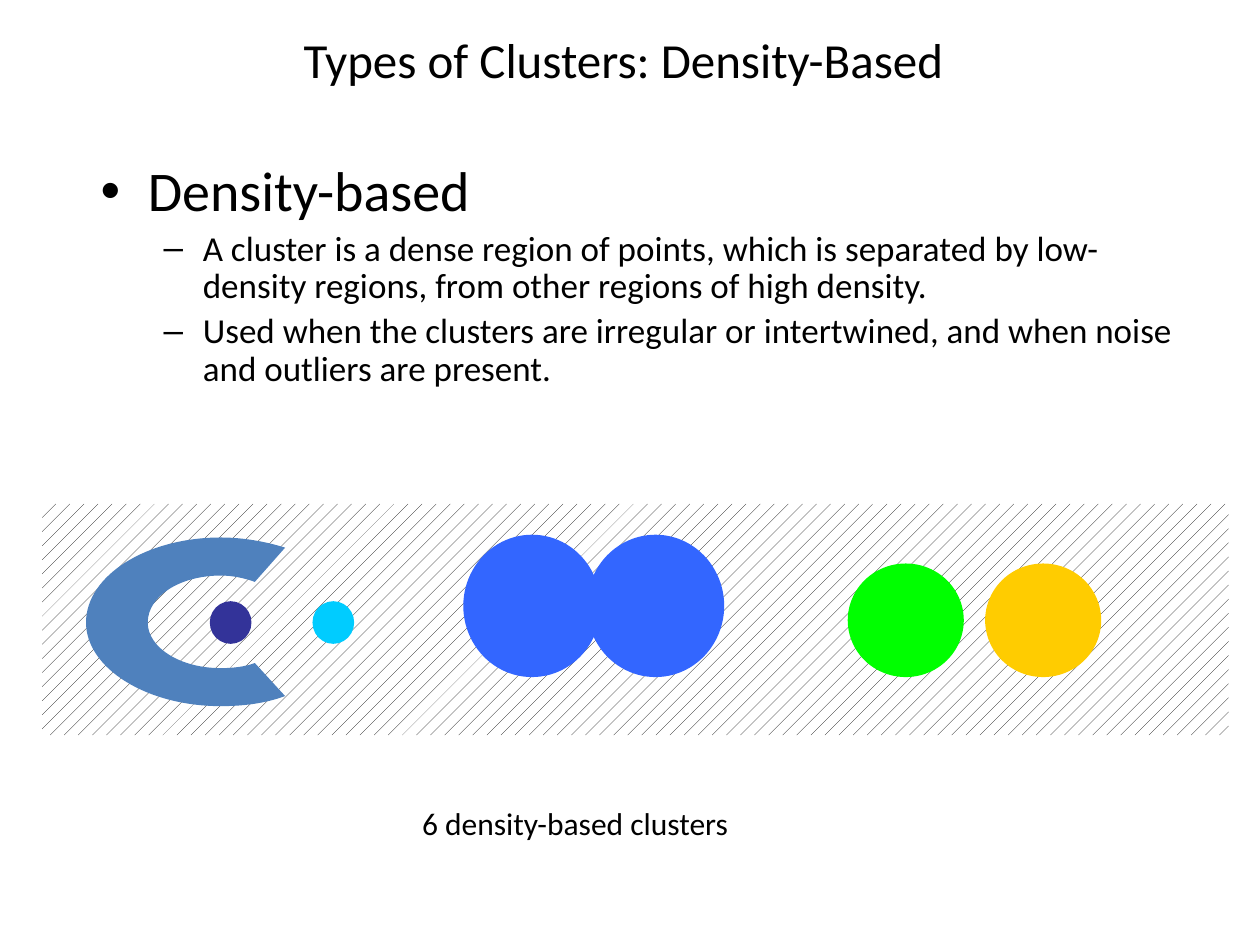
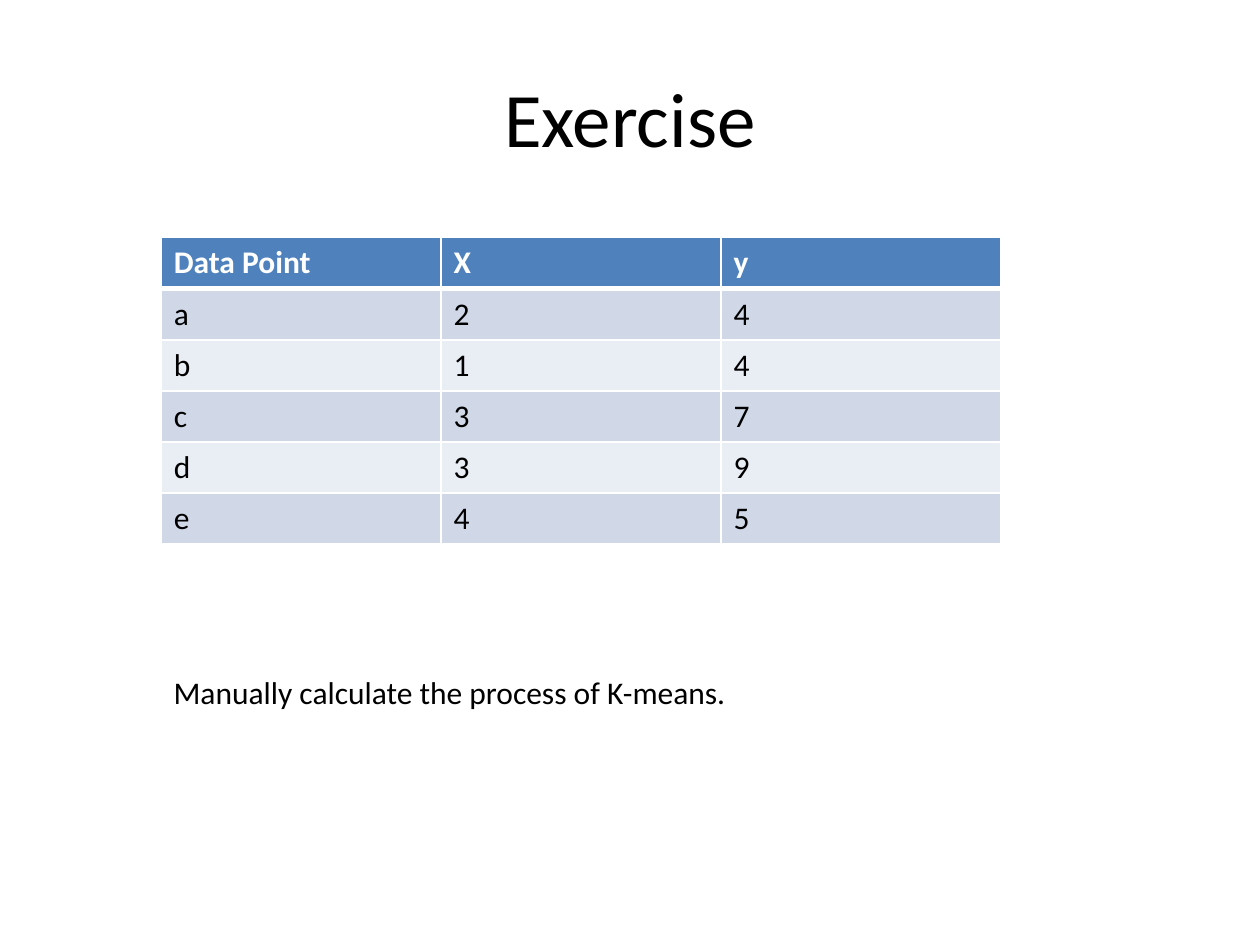
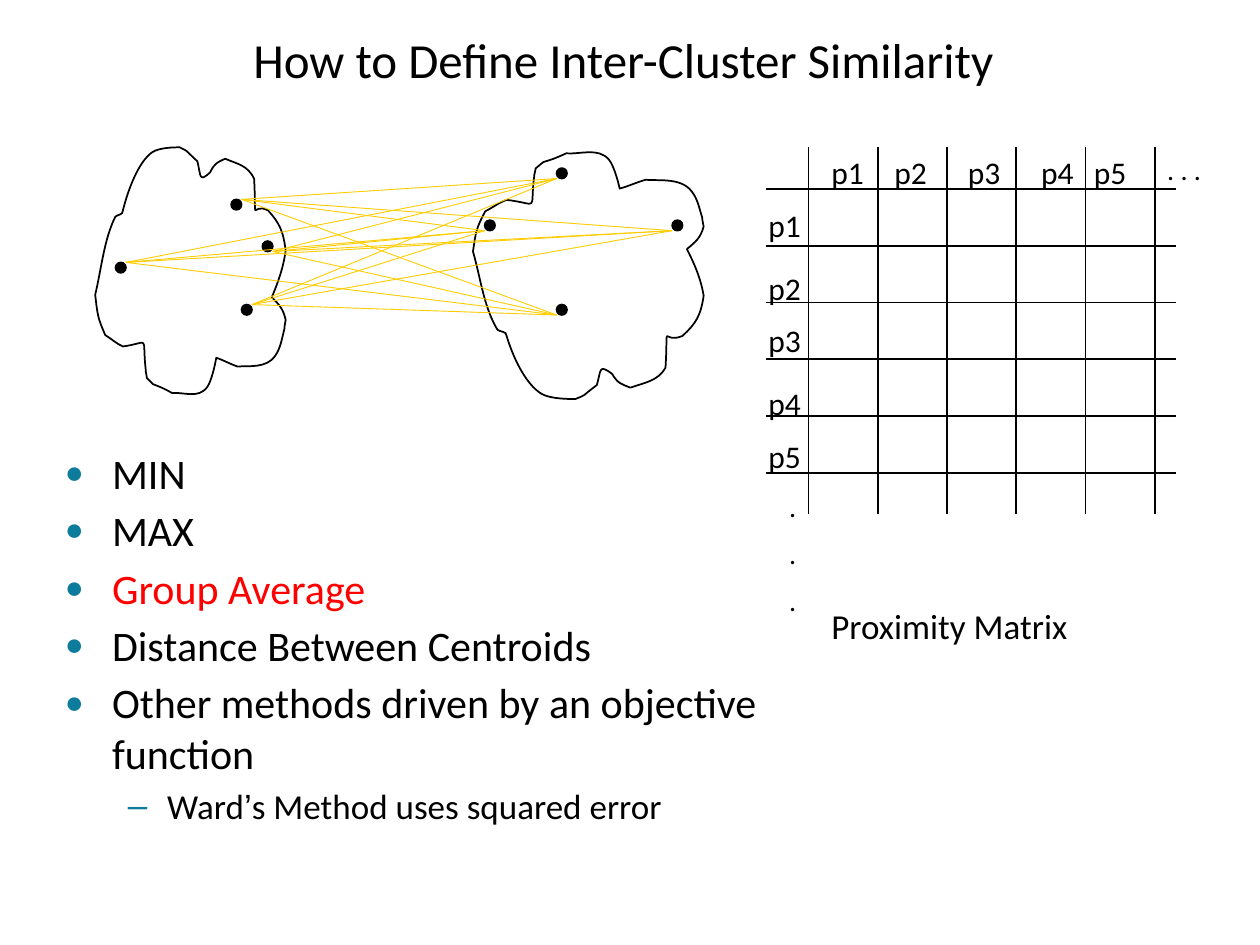
import dataclasses
import itertools
import typing

import lxml.etree
import pptx
import pptx.dml.color
import pptx.enum.dml
import pptx.enum.shapes
import pptx.enum.text
import pptx.oxml.ns
import pptx.presentation
import pptx.shapes.base
import pptx.slide
import pptx.util

Cm = pptx.util.Cm
Pt = pptx.util.Pt
qn = pptx.oxml.ns.qn
Point = tuple[float, float]


@dataclasses.dataclass(frozen=True)
class Theme:
    font: str = "Calibri"
    symbol_font: str = "Arial"
    ink: str = "000000"
    paper: str = "FFFFFF"
    steel: str = "4F81BD"
    band_dark: str = "D0D8E8"
    band_light: str = "E9EDF4"
    indigo: str = "333399"
    cyan: str = "00CCFF"
    blue: str = "3366FF"
    green: str = "00FF00"
    amber: str = "FFCC00"
    red: str = "FF0000"
    teal: str = "0C7B9C"
    big_title: int = 44
    title: int = 28
    lead: int = 32
    item: int = 24
    detail: int = 20
    body: int = 18
    dots: int = 16


THEME = Theme()


class Box(typing.NamedTuple):
    left: float
    top: float
    width: float
    height: float

    def lengths(self) -> list[pptx.util.Length]:
        return [Cm(value) for value in self]


@dataclasses.dataclass(frozen=True)
class Bullet:
    char: str
    margin: float
    hang: float
    color: str = ""
    percent: int = 0


@dataclasses.dataclass(frozen=True)
class Line:
    text: str
    size: int = THEME.body
    color: str = THEME.ink
    bullet: Bullet | None = None
    level: int = 0
    before: float = 0
    after: float = 0
    spacing: float = 1.0
    bold: bool = False


@dataclasses.dataclass(frozen=True)
class Outline:
    """Segments on an upright grid: one point is a line, three are a Bézier curve."""
    width: int
    height: int
    start: Point
    segments: list[tuple[Point, ...]]


class Disc(typing.NamedTuple):
    box: Box
    color: str


class Dot(typing.NamedTuple):
    """A data point; links leave from the corner given in fractions of its side."""
    left: float
    top: float
    corner_x: int
    corner_y: int

    def link(self) -> Point:
        return self.left + self.corner_x * DOT_SIDE, self.top + self.corner_y * DOT_SIDE


TITLE_BOX = Box(1.06, 0.43, 23.01, 1.52)
DOT_SIDE = 0.21


# Shared drawing functions

def rgb(color: str) -> pptx.dml.color.RGBColor:
    return pptx.dml.color.RGBColor.from_string(color)


def new_page(deck: pptx.presentation.Presentation) -> pptx.slide.Slide:
    return deck.slides.add_slide(deck.slide_layouts[6])


def add_bullet(para, bullet: Bullet) -> None:
    props = para._p.get_or_add_pPr()
    props.set("marL", str(Cm(bullet.margin)))
    props.set("indent", str(-Cm(bullet.hang)))
    if bullet.color:
        color = lxml.etree.SubElement(props, qn("a:buClr"))
        lxml.etree.SubElement(color, qn("a:srgbClr"), val=bullet.color)
    if bullet.percent:
        lxml.etree.SubElement(props, qn("a:buSzPct"), val=str(bullet.percent * 1000))
    lxml.etree.SubElement(props, qn("a:buFont"), typeface=THEME.symbol_font)
    lxml.etree.SubElement(props, qn("a:buChar"), char=bullet.char)


def write_line(para, line: Line) -> None:
    para.level = line.level
    para.line_spacing = line.spacing
    para.space_before = Pt(line.before)
    para.space_after = Pt(line.after)
    if line.bullet:
        add_bullet(para, line.bullet)
    for piece in filter(None, line.text.partition("’")):
        span = para.add_run()
        span.text = piece
        span.font.name = THEME.symbol_font if piece == "’" else THEME.font
        span.font.size = Pt(line.size)
        span.font.bold = line.bold
        span.font.color.rgb = rgb(line.color)


def add_text(page: pptx.slide.Slide, box: Box, *lines: Line):
    frame = page.shapes.add_textbox(*box.lengths()).text_frame
    frame.word_wrap = True
    for index, line in enumerate(lines):
        write_line(frame.add_paragraph() if index else frame.paragraphs[0], line)
    return frame


def add_title(page: pptx.slide.Slide, text: str, box: Box = TITLE_BOX,
              size: int = THEME.title) -> None:
    frame = add_text(page, box, Line(text, size))
    frame.vertical_anchor = pptx.enum.text.MSO_ANCHOR.MIDDLE
    frame.paragraphs[0].alignment = pptx.enum.text.PP_ALIGN.CENTER


def paint(shape: pptx.shapes.base.BaseShape, fill: str = "", outline: str = "") -> None:
    shape.shadow.inherit = False
    if fill:
        shape.fill.solid()
        shape.fill.fore_color.rgb = rgb(fill)
    else:
        shape.fill.background()
    if outline:
        shape.line.color.rgb = rgb(outline)
        shape.line.width = Pt(1)
    else:
        shape.line.fill.background()


def add_ellipse(page: pptx.slide.Slide, box: Box, fill: str, outline: str = "",
                rotation: int = 0) -> None:
    kind = pptx.enum.shapes.MSO_SHAPE.OVAL
    shape = page.shapes.add_shape(kind, *box.lengths())
    shape.rotation = rotation
    paint(shape, fill, outline)


def add_outline(page: pptx.slide.Slide, outline: Outline, box: Box, rotation: int,
                fill: str = "", line: str = "") -> None:
    """Lay the grid on its side in the box; a turn by 270 stands it up, by 90 mirrors it."""
    def place(point: Point) -> tuple[int, int]:
        along = 1 - point[1] / outline.height
        across = point[0] / outline.width
        if rotation == 90:
            across = 1 - across
        return Cm(box.left + box.width * along), Cm(box.top + box.height * across)

    builder = page.shapes.build_freeform(*place(outline.start))
    points = itertools.chain.from_iterable(outline.segments)
    builder.add_line_segments([place(point) for point in points], close=True)
    shape = builder.convert_to_shape()
    shape.width, shape.height = Cm(box.width), Cm(box.height)
    shape.rotation = rotation
    paint(shape, fill, line)

    # Keep the full frame and turn each group of three points into a curve
    contour = next(shape.element.iter(qn("a:path")))
    contour.set("w", str(shape.width))
    contour.set("h", str(shape.height))
    steps = iter(contour.findall(qn("a:lnTo")))
    for segment in outline.segments:
        group = list(itertools.islice(steps, len(segment)))
        if len(group) == 3:
            curve = lxml.etree.Element(qn("a:cubicBezTo"))
            group[0].addprevious(curve)
            for step in group:
                curve.append(step[0])
                contour.remove(step)


def add_line(page: pptx.slide.Slide, start: Point, end: Point,
             color: str = THEME.ink, width: float = 1) -> None:
    kind = pptx.enum.shapes.MSO_CONNECTOR.STRAIGHT
    line = page.shapes.add_connector(kind, *(Cm(value) for value in (*start, *end)))
    line.line.color.rgb = rgb(color)
    line.line.width = Pt(width)
    lxml.etree.SubElement(line.element.spPr, qn("a:effectLst"))


# Slide 1: density-based clusters

CRESCENT = Outline(213, 133, (134, 99), [
    ((126, 102), (116, 103), (107, 103)), ((75, 103), (49, 87), (49, 67)),
    ((49, 46), (75, 30), (107, 30)), ((116, 30), (126, 32), (134, 35)),
    ((158, 8),),
    ((142, 3), (124, 0), (107, 0)), ((48, 0), (0, 30), (0, 67)),
    ((0, 103), (48, 133), (107, 133)), ((124, 133), (142, 131), (158, 125)),
])
DISCS = [
    Disc(Box(6.3, 12.12, 0.84, 0.86), THEME.cyan),
    Disc(Box(17.09, 11.36, 2.34, 2.29), THEME.green),
    Disc(Box(19.86, 11.36, 2.34, 2.29), THEME.amber),
    Disc(Box(9.34, 10.78, 2.77, 2.87), THEME.blue),
    Disc(Box(11.83, 10.78, 2.77, 2.87), THEME.blue),
]


def build_density(deck: pptx.presentation.Presentation) -> None:
    page = new_page(deck)
    add_title(page, "Types of Clusters: Density-Based")
    dash = Bullet("–", 2.06, 0.79)
    details = [
        "A cluster is a dense region of points, which is separated by low-density regions, "
        "from other regions of high density.",
        "Used when the clusters are irregular or intertwined, and when noise and outliers "
        "are present.",
    ]
    add_text(page, Box(1.78, 3.17, 22.23, 14.2),
             Line("Density-based", THEME.lead, bullet=Bullet("•", 0.95, 0.95), spacing=0.9),
             *(Line(text, THEME.detail, bullet=dash, level=1, before=4, spacing=0.9)
               for text in details))

    # Noise background
    noise = page.shapes.add_shape(pptx.enum.shapes.MSO_SHAPE.RECTANGLE,
                                  *Box(0.85, 10.16, 23.92, 4.66).lengths())
    paint(noise)
    noise.fill.patterned()
    noise.fill.pattern = pptx.enum.dml.MSO_PATTERN.PERCENT_10
    noise.fill.fore_color.rgb = rgb(THEME.ink)
    noise.fill.back_color.rgb = rgb(THEME.paper)

    # Clusters
    add_ellipse(page, Box(4.23, 12.12, 0.84, 0.86), THEME.indigo)
    add_outline(page, CRESCENT, Box(2.74, 9.83, 3.4, 5.41), 270, fill=THEME.steel)
    for disc in DISCS:
        add_ellipse(page, disc.box, disc.color)
    add_text(page, Box(8.26, 16.08, 8.89, 1.02), Line("6 density-based clusters"))


# Slide 2: exercise table

DATA_ROWS = ["Data Point,X,y", "a,2,4", "b,1,4", "c,3,7", "d,3,9", "e,4,5"]


def add_borders(cell, widths: dict[str, float]) -> None:
    props = cell._tc.get_or_add_tcPr()
    for index, (side, width) in enumerate(widths.items()):
        edge = lxml.etree.Element(qn(f"a:ln{side}"), w=str(Pt(width)))
        fill = lxml.etree.SubElement(edge, qn("a:solidFill"))
        lxml.etree.SubElement(fill, qn("a:srgbClr"), val=THEME.paper)
        props.insert(index, edge)


def build_exercise(deck: pptx.presentation.Presentation) -> None:
    page = new_page(deck)
    add_title(page, "Exercise", Box(1.27, 0.76, 22.86, 3.18), THEME.big_title)
    table = page.shapes.add_table(len(DATA_ROWS), 3, *Box(3.25, 4.79, 16.93, 6.18).lengths()).table
    for row, record in enumerate(DATA_ROWS):
        header = row == 0
        fill = THEME.steel if header else THEME.band_dark if row % 2 else THEME.band_light
        ink = THEME.paper if header else THEME.ink
        for column, text in enumerate(record.split(",")):
            cell = table.cell(row, column)
            cell.fill.solid()
            cell.fill.fore_color.rgb = rgb(fill)
            add_borders(cell, {"L": 1, "R": 1, "T": 3 if row == 1 else 1, "B": 3 if header else 1})
            write_line(cell.text_frame.paragraphs[0], Line(text, color=ink, bold=header))
    add_text(page, Box(3.25, 13.44, 18.52, 1.8),
             Line("Manually calculate the process of K-means."))


# Slide 3: inter-cluster similarity

CLOUD = Outline(151, 200, (16, 55), [
    ((7, 73), (5, 96), (0, 117)), ((2, 134), (2, 135), (8, 149)),
    ((13, 152), (17, 156), (22, 158)), ((44, 155), (37, 148), (40, 176)),
    ((40, 179), (41, 181), (41, 183)), ((48, 190), (44, 187), (51, 190)),
    ((54, 191), (61, 195), (61, 195)), ((70, 194), (82, 200), (89, 190)),
    ((93, 184), (96, 167), (96, 167)), ((102, 169), (107, 172), (113, 174)),
    ((121, 173), (136, 176), (143, 165)), ((147, 159), (148, 152), (150, 144)),
    ((150, 142), (151, 137), (151, 137)), ((149, 128), (146, 125), (140, 119)),
    ((145, 107), (149, 96), (151, 82)), ((149, 66), (146, 60), (137, 50)),
    ((123, 43), (128, 65), (126, 25)), ((121, 14), (112, 13), (103, 9)),
    ((97, 12), (95, 12), (91, 20)), ((82, 28), (84, 23), (81, 11)),
    ((70, 1), (75, 4), (67, 0)), ((63, 0), (51, 0), (45, 4)),
    ((34, 12), (26, 34), (22, 50)), ((22, 54), (18, 53), (16, 55)),
])
LEFT_DOTS = [Dot(4.87, 6.14, 1, 0), Dot(4.66, 4.02, 1, 0),
             Dot(2.33, 5.29, 1, 0), Dot(5.29, 4.86, 1, 1)]
RIGHT_DOTS = [Dot(13.55, 4.44, 0, 1), Dot(9.77, 4.44, 0, 1),
              Dot(11.22, 6.14, 0, 1), Dot(11.22, 3.39, 0, 1)]
COLUMN_LABELS = [16.51, 17.78, 19.26, 20.74, 21.8]
ROW_LABELS = [4.02, 5.29, 6.35, 7.62, 8.68]


def add_cloud(page: pptx.slide.Slide, box: Box, rotation: int, dots: list[Dot]) -> None:
    add_outline(page, CLOUD, box, rotation, line=THEME.ink)
    for dot in dots:
        dot_box = Box(dot.left, dot.top, DOT_SIDE, DOT_SIDE)
        add_ellipse(page, dot_box, THEME.ink, THEME.ink, rotation)


def add_matrix(page: pptx.slide.Slide) -> None:
    for index in range(6):
        x, y = 16.3 + 6.98 * index / 5, 3.81 + 5.72 * index / 5
        add_line(page, (x, 2.96), (x, 10.37))
        add_line(page, (15.45, y), (23.71, y))
    for number, (left, top) in enumerate(zip(COLUMN_LABELS, ROW_LABELS), start=1):
        for x, y in ((left, 2.96), (15.24, top)):
            add_text(page, Box(x, y, 1.48, 0.85), Line(f"p{number}"))
    add_text(page, Box(23.28, 2.96, 1.48, 0.95), Line(". . .", THEME.dots))
    add_text(page, Box(15.66, 9.74, 1.48, 2.96),
             *(Line(".", THEME.dots, before=before) for before in (0, 7.7, 7.7)))


def build_similarity(deck: pptx.presentation.Presentation) -> None:
    page = new_page(deck)
    add_title(page, "How to Define Inter-Cluster Similarity")
    add_matrix(page)

    # Clusters and the links between all their points
    add_cloud(page, Box(1.3, 3.59, 5.08, 3.84), 270, LEFT_DOTS)
    add_cloud(page, Box(9.32, 3.18, 5.08, 4.65), 90, RIGHT_DOTS)
    for start, end in itertools.product(LEFT_DOTS, RIGHT_DOTS):
        add_line(page, start.link(), end.link(), THEME.amber, 0.5)
    add_text(page, Box(16.51, 12.07, 6.99, 1.09), Line("Proximity Matrix", THEME.detail))

    # Methods
    disc = Bullet("●", 0.95, 0.95, THEME.teal, 75)
    dash = Bullet("–", 2.06, 0.79, THEME.teal)
    methods = ["MIN", "MAX", "Group Average", "Distance Between Centroids",
               "Other methods driven by an objective function"]
    add_text(page, Box(1.06, 8.89, 16.08, 8.69),
             *(Line(text, THEME.item, THEME.red if text == "Group Average" else THEME.ink,
                    disc, before=2 if index else 0, after=2)
               for index, text in enumerate(methods)),
             Line("Ward’s Method uses squared error", THEME.detail,
                  bullet=dash, level=1, before=2, after=2))


def main() -> None:
    deck = pptx.Presentation()
    deck.slide_width, deck.slide_height = Cm(25.4), Cm(19.05)
    build_density(deck)
    build_exercise(deck)
    build_similarity(deck)
    deck.save("out.pptx")


if __name__ == "__main__":
    main()
